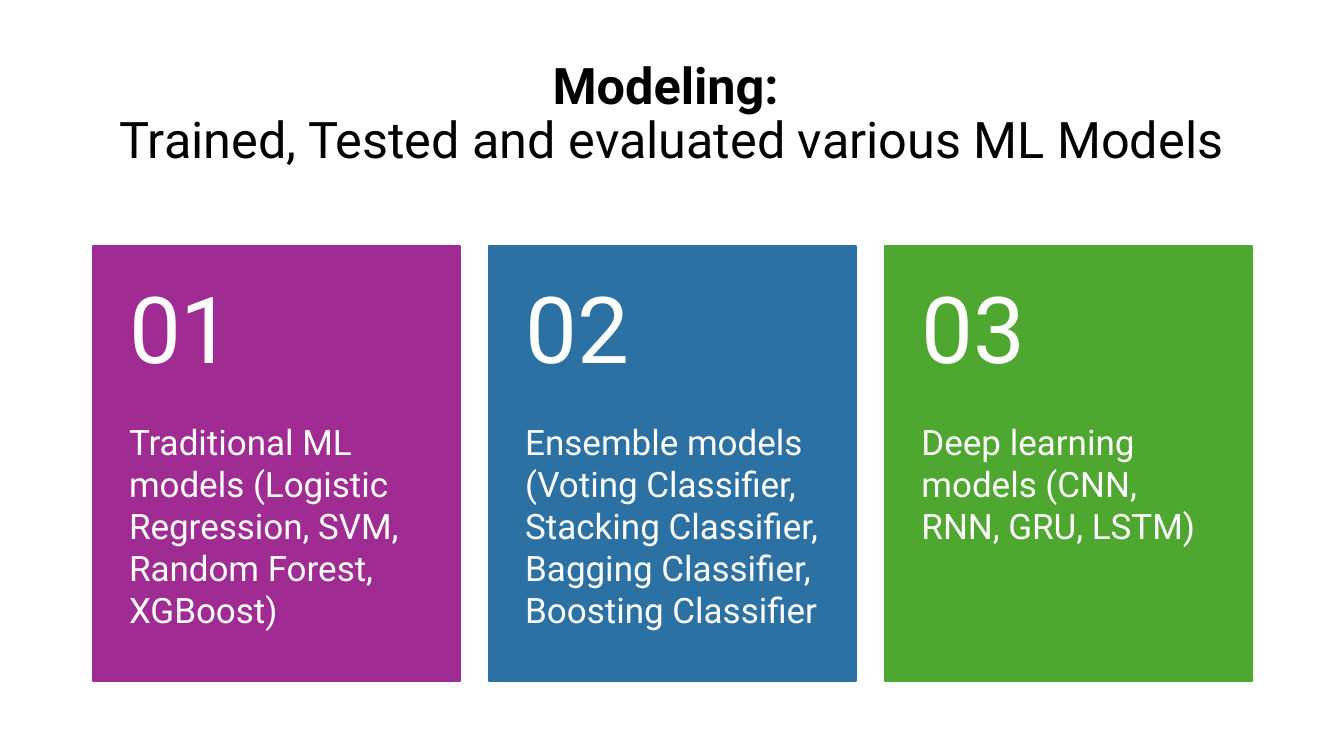
from pptx import Presentation
from pptx.dml.color import RGBColor
from pptx.enum.shapes import MSO_SHAPE
from pptx.enum.text import MSO_ANCHOR, MSO_AUTO_SIZE, PP_ALIGN
from pptx.util import Inches, Pt

BLACK = RGBColor(0x00, 0x00, 0x00)
WHITE = RGBColor(0xFF, 0xFF, 0xFF)
PURPLE = RGBColor(0xA0, 0x2B, 0x93)
BLUE = RGBColor(0x2C, 0x71, 0xA4)
GREEN = RGBColor(0x4E, 0xA7, 0x2E)


def style(item, form):
    for name, value in form.items():
        setattr(item, name, value)


def write(para, text, size, color, bold=False):
    run = para.add_run()
    run.text = text
    style(run.font, {"name": "Roboto", "size": Pt(size), "bold": bold})
    run.font.color.rgb = color


deck = Presentation()
style(deck, {"slide_width": Inches(13.33), "slide_height": Inches(7.5)})
slide = deck.slides.add_slide(deck.slide_layouts[5])

# Title
title = slide.shapes.title
style(title, {"left": Inches(0.7), "top": Inches(0.46),
              "width": Inches(11.93), "height": Inches(1.37)})
style(title.text_frame, {"word_wrap": True, "auto_size": MSO_AUTO_SIZE.NONE,
                         "vertical_anchor": MSO_ANCHOR.MIDDLE})
para = title.text_frame.paragraphs[0]
style(para, {"alignment": PP_ALIGN.CENTER, "line_spacing": 0.9})
write(para, "Modeling: ", 36, BLACK, True)
para.add_line_break()
write(para, "Trained, Tested and evaluated various ML Models", 36, BLACK)

# Numbered cards
cards = [
    (PURPLE, "Traditional ML models (Logistic Regression, SVM, "
             "Random Forest, XGBoost)"),
    (BLUE, "Ensemble models (Voting Classifier, Stacking Classifier, "
           "Bagging Classifier, Boosting Classifier"),
    (GREEN, "Deep learning models (CNN, RNN, GRU, LSTM)"),
]
LEFT, TOP, STEP = 0.92, 2.44, 3.93
WIDTH, HEAD, BODY = 3.64, 1.73, 2.59

for index, (color, models) in enumerate(cards):
    left = Inches(LEFT + index * STEP)
    card = slide.shapes.add_shape(MSO_SHAPE.RECTANGLE, left, Inches(TOP),
                                  Inches(WIDTH), Inches(HEAD + BODY))
    card.shadow.inherit = False
    card.fill.solid()
    card.fill.fore_color.rgb = color
    card.line.color.rgb = color
    card.line.width = Pt(1.5)

    # Number above, model list below
    parts = [
        (f"{index + 1:02d}", 66, TOP, HEAD, 0.18, 0.18, MSO_ANCHOR.MIDDLE, 0.9),
        (models, 25, TOP + HEAD, BODY, 0, 0.36, MSO_ANCHOR.TOP, 1.0),
    ]
    for text, size, top, height, above, below, anchor, spacing in parts:
        box = slide.shapes.add_textbox(left, Inches(top),
                                       Inches(WIDTH), Inches(height))
        style(box.text_frame, {
            "word_wrap": True, "vertical_anchor": anchor,
            "margin_left": Inches(0.36), "margin_right": Inches(0.36),
            "margin_top": Inches(above), "margin_bottom": Inches(below)})
        para = box.text_frame.paragraphs[0]
        para.line_spacing = spacing
        write(para, text, size, WHITE)

deck.save("out.pptx")
